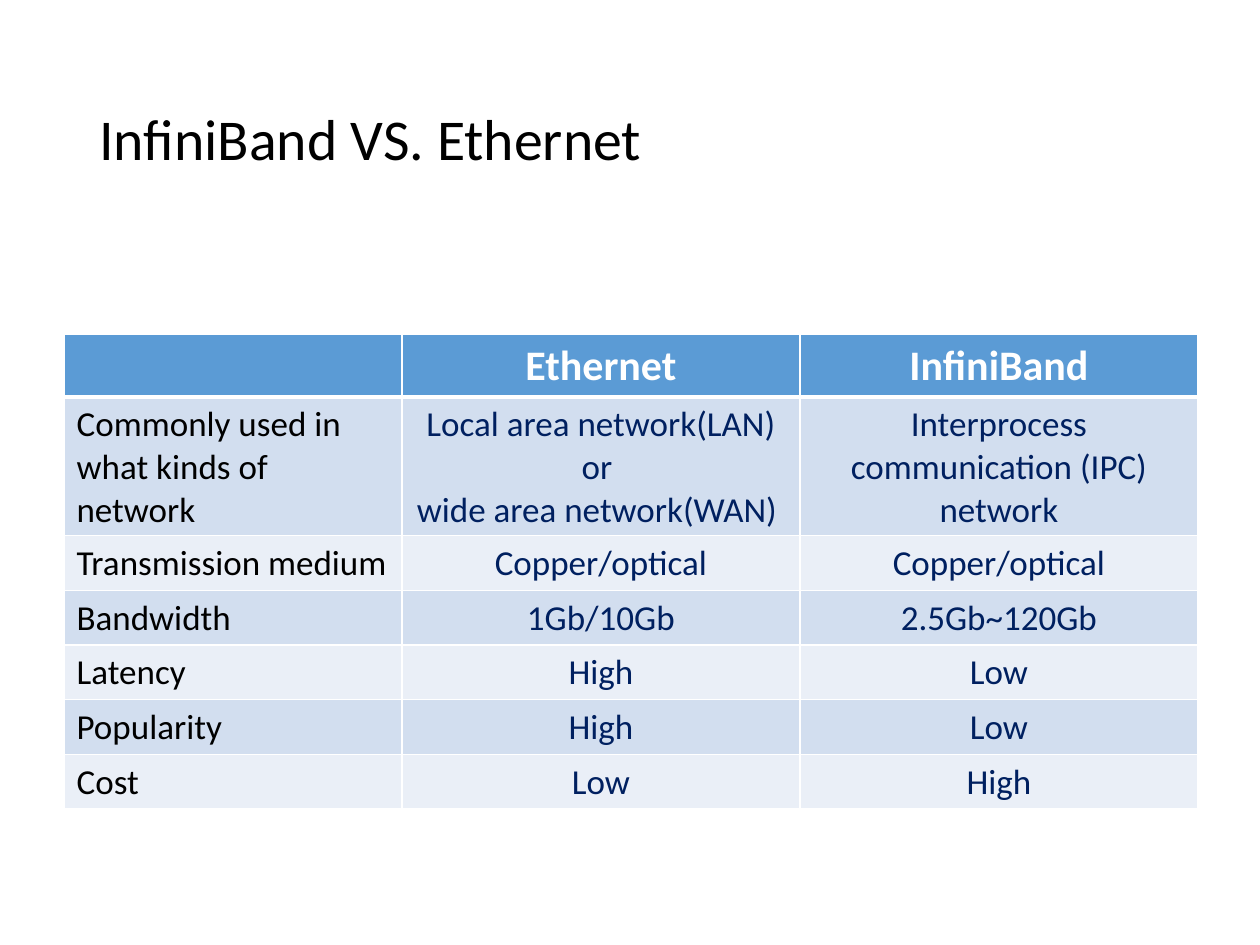
from dataclasses import dataclass

from lxml.etree import SubElement
from pptx import Presentation
from pptx.dml.color import RGBColor as RGB
from pptx.enum.text import MSO_ANCHOR as Anchor, PP_ALIGN as Align
from pptx.oxml.ns import qn
from pptx.util import Emu, Pt


@dataclass(frozen=True)
class Theme:
    font: str = "Calibri"
    title_size: int = 33
    head_size: int = 24
    body_size: int = 20
    black: str = "000000"
    white: str = "FFFFFF"
    navy: str = "002060"
    head_fill: str = "5B9BD5"
    bands: tuple = ("D2DEEF", "EAEFF7")
    thin: int = 1
    thick: int = 3


THEME = Theme()
HEADERS = ["", "Ethernet", "InfiniBand"]
ROWS = [
    ["Commonly used in what kinds of network",
     "Local area network(LAN) or \nwide area network(WAN) ",
     "Interprocess communication (IPC) network"],
    ["Transmission medium", "Copper/optical", "Copper/optical"],
    ["Bandwidth", "1Gb/10Gb", "2.5Gb~120Gb"],
    ["Latency", "High", "Low"],
    ["Popularity", "High", "Low"],
    ["Cost", "Low", "High"],
]


def px(n):
    return Emu(round(n * 914400 / 126))


def style_text(tf, size, color, align, bold=False):
    for p in tf.paragraphs:
        p.alignment = align
        p.font.name = THEME.font
        p.font.size = Pt(size)
        p.font.bold = bold
        p.font.color.rgb = RGB.from_string(color)


def add_title(s, text, left, top, width, height):
    tf = s.shapes.add_textbox(px(left), px(top), px(width), px(height)).text_frame
    tf.word_wrap = True
    tf.vertical_anchor = Anchor.MIDDLE
    tf.text = text
    tf.paragraphs[0].line_spacing = 0.9
    style_text(tf, THEME.title_size, THEME.black, Align.LEFT)


def set_borders(cell, top, bottom):
    tc_pr = cell._tc.get_or_add_tcPr()
    widths = {"L": THEME.thin, "R": THEME.thin, "T": top, "B": bottom}
    for i, (side, width) in enumerate(widths.items()):
        ln = SubElement(tc_pr, qn(f"a:ln{side}"), w=str(Pt(width)))
        fill = SubElement(ln, qn("a:solidFill"))
        SubElement(fill, qn("a:srgbClr"), val=THEME.white)
        tc_pr.insert(i, ln)


def fill_cell(cell, text, fill, size, color, align, bold=False):
    cell.fill.solid()
    cell.fill.fore_color.rgb = RGB.from_string(fill)
    cell.text = text
    style_text(cell.text_frame, size, color, align, bold)


def add_comparison(s, left, top, col_widths, row_height):
    n_rows = len(ROWS) + 1
    table = s.shapes.add_table(
        n_rows, len(HEADERS), px(left), px(top),
        px(sum(col_widths)), px(row_height * n_rows)).table
    for col, width in zip(table.columns, col_widths):
        col.width = px(width)
    for i, row in enumerate([HEADERS] + ROWS):
        for j, text in enumerate(row):
            cell = table.cell(i, j)
            if i == 0:
                fill_cell(cell, text, THEME.head_fill, THEME.head_size,
                          THEME.white, Align.CENTER, True)
            else:
                label = Align.LEFT if i == 1 else Align.JUSTIFY
                fill_cell(cell, text, THEME.bands[(i - 1) % 2], THEME.body_size,
                          THEME.navy if j else THEME.black,
                          Align.CENTER if j else label)
            set_borders(cell, THEME.thick if i == 1 else THEME.thin,
                        THEME.thick if i == 0 else THEME.thin)


def main():
    prs = Presentation()
    prs.slide_width, prs.slide_height = px(1260), px(945)
    s = prs.slides.add_slide(prs.slide_layouts[6])
    add_title(s, "InfiniBand VS. Ethernet", 87, 50, 1086, 183)
    add_comparison(s, 64, 334, [338, 398, 398], 52)
    prs.save("out.pptx")


if __name__ == "__main__":
    main()
